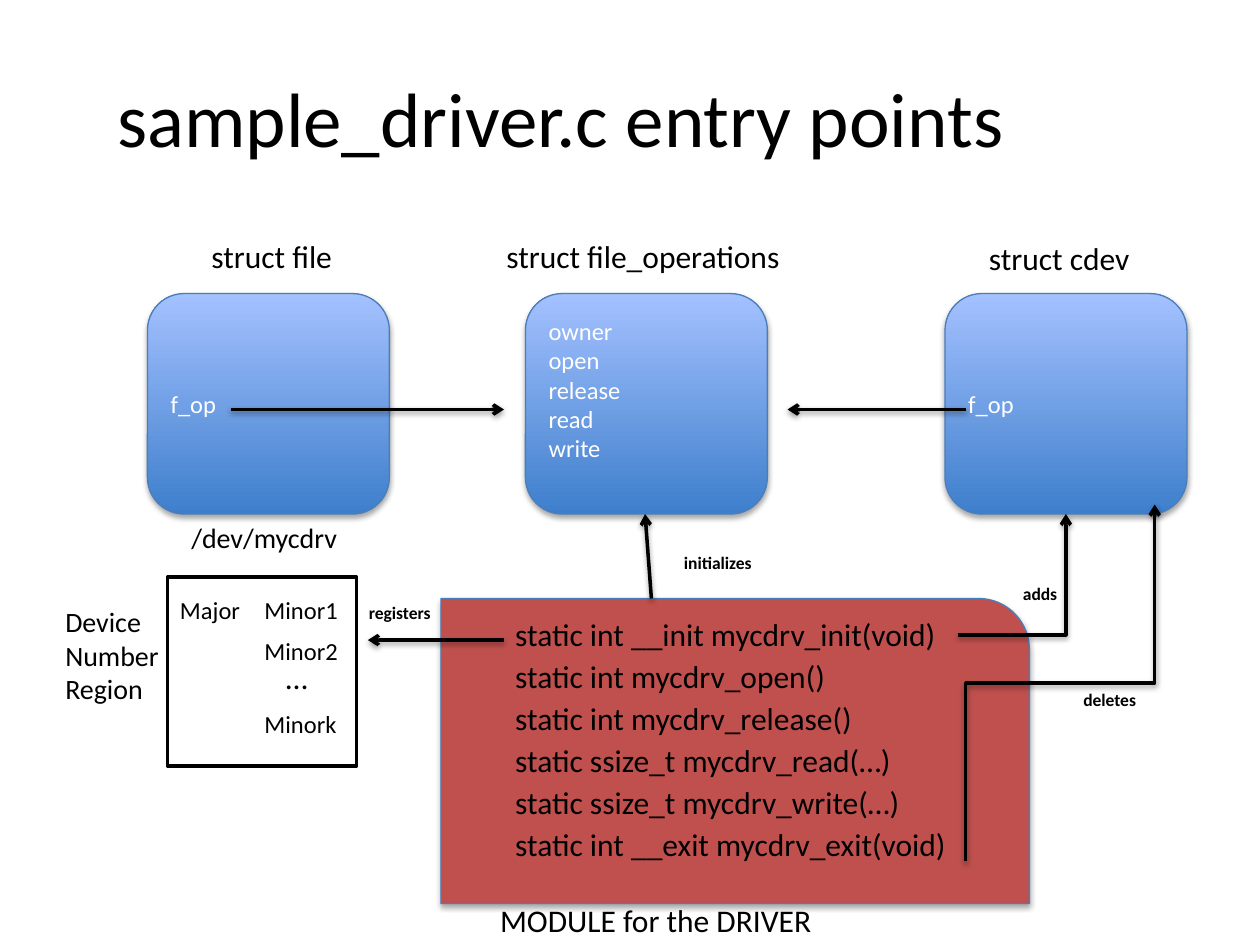
"""Builds the slide on the entry points of a sample driver."""
from pptx import Presentation
from pptx.dml.color import RGBColor
from pptx.enum.shapes import MSO_CONNECTOR, MSO_SHAPE
from pptx.enum.text import MSO_ANCHOR, PP_ALIGN
from pptx.oxml.ns import qn
from pptx.util import Inches, Pt
from lxml import etree

ROUND, CORNER, RECT = MSO_SHAPE.ROUNDED_RECTANGLE, MSO_SHAPE.ROUND_1_RECTANGLE, MSO_SHAPE.RECTANGLE
STRAIGHT, ELBOW = MSO_CONNECTOR.STRAIGHT, MSO_CONNECTOR.ELBOW
LEFT, MIDDLE, TOP = PP_ALIGN.LEFT, MSO_ANCHOR.MIDDLE, MSO_ANCHOR.TOP
BLACK, WHITE, RED = "000000", "FFFFFF", "C0504D"

TITLE = "sample_driver.c entry points"
STRUCTS = [
    (1.17, ["f_op"], 0.05),
    (4.17, ["owner", "open", "release", "read", "write"], 0.28),
    (7.5, ["f_op"], 0.05),
]
CALLS = [
    "static int __init mycdrv_init(void)",
    "static int mycdrv_open()",
    "static int mycdrv_release()",
    "static ssize_t mycdrv_read(…)",
    "static ssize_t mycdrv_write(…)",
    "static int __exit mycdrv_exit(void)",
]
LABELS = [
    ("struct file", 1.58, 1.83, 1.17, 0.4, 18),
    ("struct file_operations", 3.92, 1.83, 2.4, 0.4, 18),
    ("struct cdev", 7.75, 1.85, 1.34, 0.4, 18),
    ("MODULE for the DRIVER", 3.87, 7.1, 2.71, 0.4, 18),
    ("/dev/mycdrv", 1.42, 4.08, 1.39, 0.37, 16),
    ("Device\nNumber\nRegion", 0.42, 4.75, 0.98, 0.91, 16),
    ("Major", 1.33, 4.67, 0.68, 0.34, 14),
    ("Minor1", 2, 4.67, 0.79, 0.34, 14),
    ("Minor2", 2, 5, 0.79, 0.34, 14),
    ("…", 2.17, 5.17, 0.38, 0.4, 18),
    ("Minork", 2, 5.58, 0.79, 0.34, 14),
]
NOTES = [
    ("adds", 8.02, 4.58, 0.48),
    ("deletes", 8.5, 5.42, 0.63),
    ("registers", 2.83, 4.73, 0.7),
    ("initializes", 5.33, 4.33, 0.75),
]
ARROWS = [
    (1.83, 3.25, 4, 3.25),
    (7.67, 3.25, 6.25, 3.25),
    (4, 5.08, 2.92, 5.08),
    (5.17, 4.75, 5.12, 4.08),
]


def paint(hue):
    return RGBColor.from_string(hue)


def write(shape, lines, size=18, hue=BLACK, bold=None, anchor=TOP, bottom=0.05):
    frame = shape.text_frame
    frame.word_wrap = True
    frame.vertical_anchor = anchor
    frame.margin_bottom = Inches(bottom)
    frame.text = "\n".join(lines)
    for para in frame.paragraphs:
        para.alignment = LEFT
        font = para.runs[0].font
        font.name, font.size, font.bold = "Calibri", Pt(size), bold
        font.color.rgb = paint(hue)


def label(text, x, y, wide, high, size, **style):
    box = slide.shapes.add_textbox(Inches(x), Inches(y), Inches(wide), Inches(high))
    write(box, text.split("\n"), size=size, **style)


def block(kind, x, y, wide, high):
    return slide.shapes.add_shape(kind, Inches(x), Inches(y), Inches(wide), Inches(high))


def arrow(x1, y1, x2, y2, kind=STRAIGHT):
    link = slide.shapes.add_connector(kind, Inches(x1), Inches(y1), Inches(x2), Inches(y2))
    link.line.color.rgb = paint(BLACK)
    link.line.width = Pt(2)
    etree.SubElement(link.line._get_or_add_ln(), qn("a:tailEnd"), type="arrow")
    return link._element.spPr


deck = Presentation()
deck.slide_width, deck.slide_height = Inches(10), Inches(7.5)
slide = deck.slides.add_slide(deck.slide_layouts[5])

title = slide.shapes.title
title.left, title.top = Inches(0.83), Inches(0.3)
title.width, title.height = Inches(8.83), Inches(1.25)
write(title, [TITLE], size=44, anchor=MIDDLE)

for x, fields, bottom in STRUCTS:
    write(block(ROUND, x, 2.33, 1.92, 1.75), fields, size=14, hue=WHITE,
          anchor=MIDDLE, bottom=bottom)

module = block(CORNER, 3.5, 4.75, 4.67, 2.42)
module.fill.solid()
module.fill.fore_color.rgb = paint(RED)

region = block(RECT, 1.33, 4.58, 1.5, 1.5)
region.shadow.inherit = False
region.fill.background()
region.line.color.rgb = paint(BLACK)
region.line.width = Pt(2)

for row, call in enumerate(CALLS):
    label(call, 3.99, 4.83 + row / 3, 3.7, 0.4, 18)
for item in LABELS:
    label(*item)
for text, x, y, wide in NOTES:
    label(text, x, y, wide, 0.27, 10, bold=True)

for ends in ARROWS:
    arrow(*ends)
adds = arrow(7.6, 5.04, 8.46, 4.08, ELBOW)
adds.find(qn("a:prstGeom")).set("prst", "bentConnector2")
deletes = arrow(9.83, 6.17, 7, 4.67, ELBOW)
deletes.find(qn("a:xfrm")).set("rot", str(90 * 60000))

deck.save("out.pptx")
